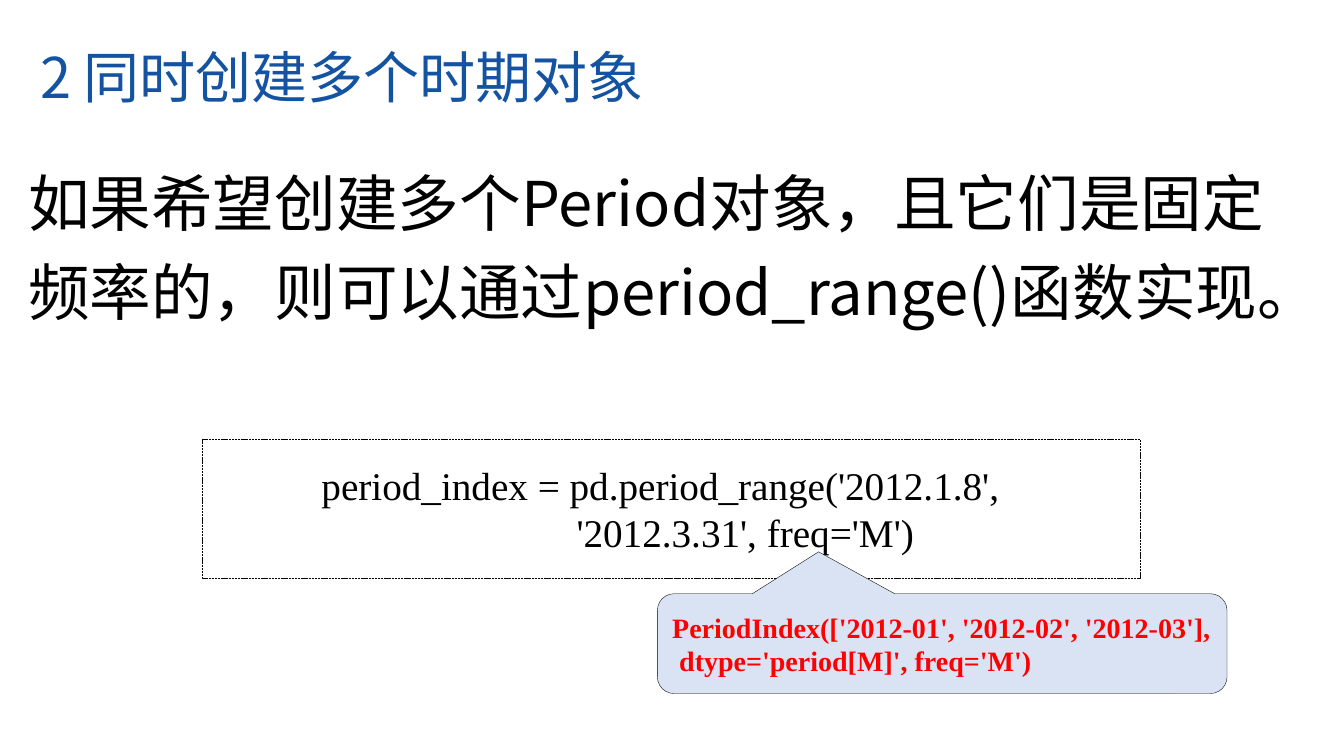
from dataclasses import dataclass

from lxml.etree import SubElement
from pptx import Presentation
from pptx.dml.color import RGBColor
from pptx.enum.dml import MSO_LINE
from pptx.enum.shapes import MSO_SHAPE as Shape
from pptx.enum.text import MSO_ANCHOR as Anchor
from pptx.enum.text import MSO_AUTO_SIZE as AutoSize
from pptx.enum.text import PP_ALIGN as Align
from pptx.oxml.ns import qn
from pptx.util import Inches, Pt


@dataclass(frozen=True)
class Theme:
    sans: str = "Noto Sans CJK SC"
    serif: str = "Times New Roman"
    title_color: str = "1353A2"
    ink: str = "000000"
    result_color: str = "FF0000"
    result_fill: str = "DAE3F3"
    title_size: int = 40
    body_size: int = 44
    code_size: int = 28
    result_size: int = 20


THEME = Theme()


def color(value):
    return RGBColor.from_string(value)


def write_lines(frame, lines, font, size, ink, bold=False):
    """Fill a text frame with one left-aligned paragraph per line."""
    frame.word_wrap = True
    for index, line in enumerate(lines):
        para = frame.paragraphs[0] if index == 0 else frame.add_paragraph()
        para.alignment = Align.LEFT
        span = para.add_run()
        span.text = line
        span.font.name = font
        span.font.size = Pt(size)
        span.font.bold = bold
        span.font.color.rgb = color(ink)
        SubElement(span.font._element, qn("a:ea")).set("typeface", font)


def add_text(page, box, lines, font, size, ink):
    frame = page.shapes.add_textbox(*map(Inches, box)).text_frame
    write_lines(frame, lines, font, size, ink)
    frame.auto_size = AutoSize.SHAPE_TO_FIT_TEXT
    return frame


def add_outlined(page, preset, box, width):
    shape = page.shapes.add_shape(preset, *map(Inches, box))
    shape.shadow.inherit = False
    shape.line.color.rgb = color(THEME.ink)
    shape.line.width = Pt(width)
    return shape


def add_title(page, box):
    add_text(page, box, ["2 同时创建多个时期对象"],
             THEME.sans, THEME.title_size, THEME.title_color)


def add_explanation(page, box):
    text = "如果希望创建多个Period对象，且它们是固定频率的，则可以通过period_range()函数实现。"
    frame = add_text(page, box, [text], THEME.sans, THEME.body_size, THEME.ink)
    frame.paragraphs[0].line_spacing = 1.2


def add_code(page, box):
    left, top, width, height = box
    # Code, with the second line indented under the arguments
    lines = ["period_index = pd.period_range('2012.1.8',", "'2012.3.31', freq='M')"]
    frame = add_text(page, (left + 1.08, top + 0.17, width - 2.16, height - 0.34),
                     lines, THEME.serif, THEME.code_size, THEME.ink)
    frame.paragraphs[1]._p.get_or_add_pPr().set("marL", str(Inches(2.53)))
    # Dotted frame
    border = add_outlined(page, Shape.RECTANGLE, box, 0.5)
    border.fill.background()
    border.line.dash_style = MSO_LINE.SQUARE_DOT


def add_result(page, box):
    callout = add_outlined(page, Shape.ROUNDED_RECTANGULAR_CALLOUT, box, 0.25)
    for index, value in enumerate((-0.217, -0.92, 0.167)):
        callout.adjustments[index] = value
    callout.fill.solid()
    callout.fill.fore_color.rgb = color(THEME.result_fill)
    lines = ["PeriodIndex(['2012-01', '2012-02', '2012-03'],",
             " dtype='period[M]', freq='M')"]
    frame = callout.text_frame
    frame.vertical_anchor = Anchor.MIDDLE
    write_lines(frame, lines, THEME.serif, THEME.result_size,
                THEME.result_color, bold=True)


def main():
    deck = Presentation()
    deck.slide_width, deck.slide_height = Inches(13.33), Inches(7.5)
    page = deck.slides.add_slide(deck.slide_layouts[6])
    add_title(page, (0.3, 0.37, 9.44, 0.77))
    add_explanation(page, (0.18, 1.44, 12.49, 1.8))
    add_code(page, (2.01, 4.36, 9.3, 1.38))
    add_result(page, (6.52, 5.89, 5.65, 0.99))
    deck.save("out.pptx")


if __name__ == "__main__":
    main()
